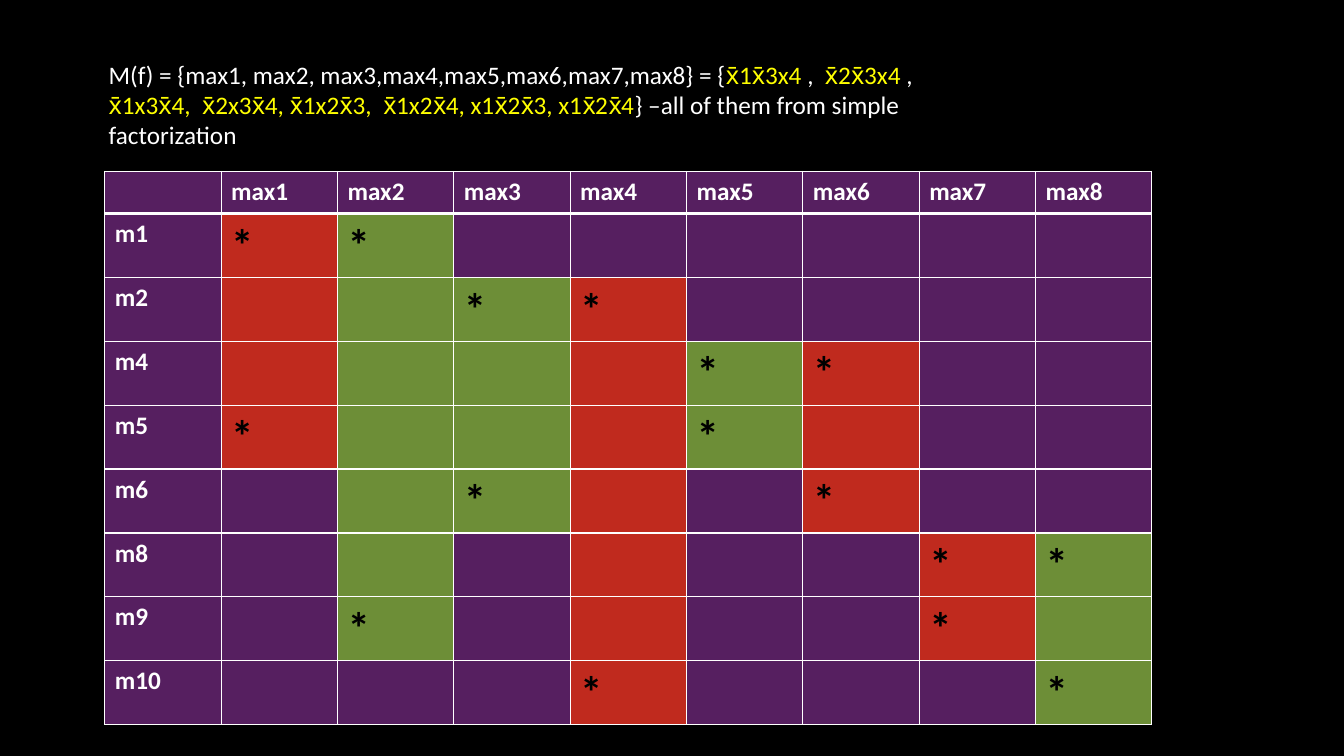
from lxml.etree import SubElement
from pptx import Presentation
from pptx.dml.color import RGBColor
from pptx.enum.text import MSO_AUTO_SIZE
from pptx.oxml.ns import qn
from pptx.util import Cm, Pt

WHITE, YELLOW, BLACK = "FFFFFF", "FFFF00", "000000"
PURPLE, RED, GREEN = "561F60", "C02A1E", "6D8E37"

FORMULA = [
    ("M(f) = {max1, max2, max3,max4,max5,max6,max7,max8} = {", WHITE),
    ("x̄1x̄3x4 ", YELLOW),
    (",  ", WHITE),
    ("x̄2x̄3x4 ", YELLOW),
    (", ", WHITE),
    ("x̄1x3x̄4,  x̄2x3x̄4, x̄1x2x̄3,  x̄1x2x̄4, x1x̄2x̄3, x1x̄2x̄4", YELLOW),
    ("} –all of them from simple factorization", WHITE),
]
MINTERMS = ["m1", "m2", "m4", "m5", "m6", "m8", "m9", "m10"]
IMPLICANTS = [
    ("max1", RED, "m1", "m5"),
    ("max2", GREEN, "m1", "m9"),
    ("max3", GREEN, "m2", "m6"),
    ("max4", RED, "m2", "m10"),
    ("max5", GREEN, "m4", "m5"),
    ("max6", RED, "m4", "m6"),
    ("max7", RED, "m8", "m9"),
    ("max8", GREEN, "m8", "m10"),
]


def color(value):
    return RGBColor.from_string(value)


def add_text(para, text, size=18, ink=WHITE, bold=False):
    span = para.add_run()
    span.text = text
    span.font.name = "Calibri"
    span.font.size = Pt(size)
    span.font.bold = bold
    span.font.color.rgb = color(ink)


def add_border(cell, side, width):
    line = SubElement(cell._tc.get_or_add_tcPr(), qn(f"a:ln{side}"), w=str(Pt(width)))
    fill = SubElement(line, qn("a:solidFill"))
    SubElement(fill, qn("a:srgbClr"), val=WHITE)


def format_cell(cell, fill, top, bottom):
    for side, width in (("L", 1), ("R", 1), ("T", top), ("B", bottom)):
        add_border(cell, side, width)
    cell.fill.solid()
    cell.fill.fore_color.rgb = color(fill)


def add_formula(page, left, top, width, height):
    box = page.shapes.add_textbox(left, top, width, height)
    frame = box.text_frame
    frame.word_wrap = True
    frame.auto_size = MSO_AUTO_SIZE.SHAPE_TO_FIT_TEXT
    for text, ink in FORMULA:
        add_text(frame.paragraphs[0], text, ink=ink)


def add_cover_table(page, left, top, width, height):
    rows, columns = len(MINTERMS) + 1, len(IMPLICANTS) + 1
    table = page.shapes.add_table(rows, columns, left, top, width, height).table
    table.horz_banding = False
    header_height = Cm(1.06)
    table.rows[0].height = header_height
    for row in range(1, rows):
        table.rows[row].height = (height - header_height) // len(MINTERMS)

    for row in range(rows):
        for column in range(columns):
            cell = table.cell(row, column)
            para = cell.text_frame.paragraphs[0]
            fill = PURPLE
            if row and column:
                name, shade, first, last = IMPLICANTS[column - 1]
                if MINTERMS.index(first) < row <= MINTERMS.index(last) + 1:
                    fill = shade
                if MINTERMS[row - 1] in (first, last):
                    add_text(para, "*", size=32, ink=BLACK, bold=True)
            elif row:
                add_text(para, MINTERMS[row - 1], bold=True)
            elif column:
                add_text(para, IMPLICANTS[column - 1][0], bold=True)
            format_cell(cell, fill, top=3 if row == 1 else 1, bottom=3 if row == 0 else 1)


def main():
    deck = Presentation()
    deck.slide_width, deck.slide_height = Cm(33.87), Cm(19.05)
    page = deck.slides.add_slide(deck.slide_layouts[6])
    page.background.fill.solid()
    page.background.fill.fore_color.rgb = color(BLACK)
    add_formula(page, Cm(2.49), Cm(1.37), Cm(21.56), Cm(2.57))
    add_cover_table(page, Cm(2.64), Cm(4.32), Cm(26.39), Cm(13.92))
    deck.save("out.pptx")


if __name__ == "__main__":
    main()
